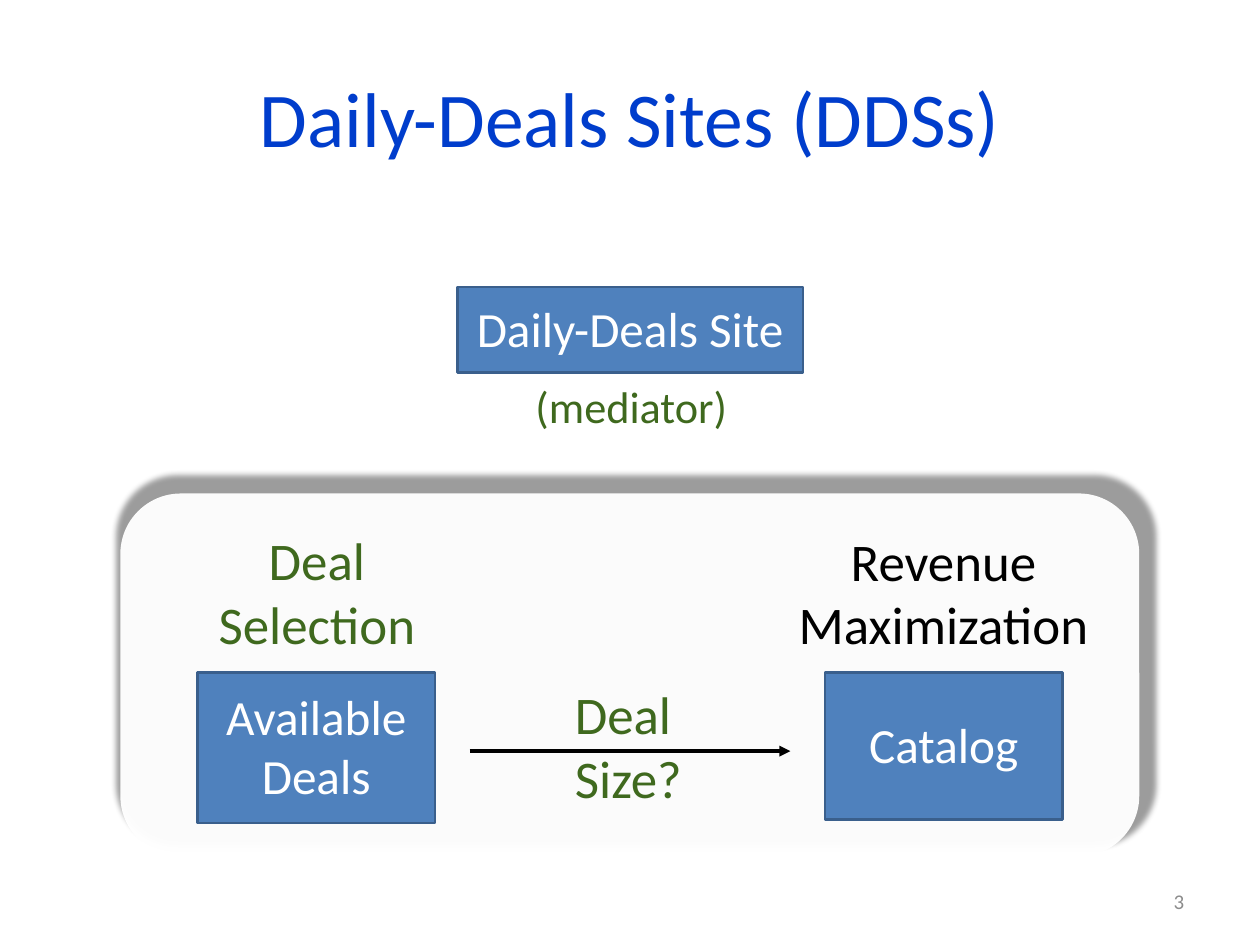
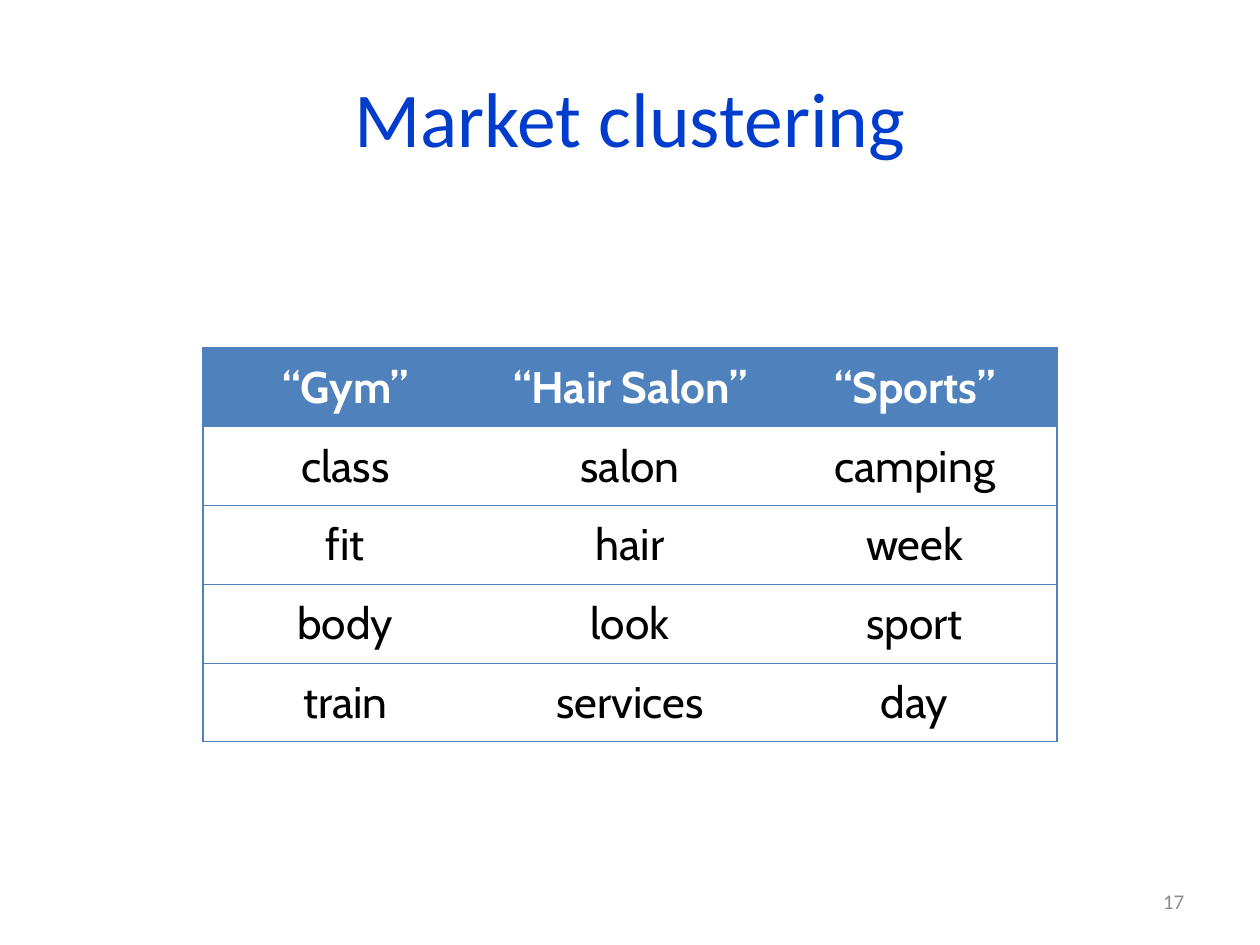
from dataclasses import dataclass
from typing import Optional

from lxml import etree
from pptx import Presentation
from pptx.dml.color import RGBColor
from pptx.enum.shapes import MSO_CONNECTOR, MSO_SHAPE
from pptx.enum.text import MSO_ANCHOR, MSO_AUTO_SIZE, PP_ALIGN
from pptx.oxml.ns import qn
from pptx.presentation import Presentation as Deck
from pptx.slide import Slide
from pptx.table import _Cell as Cell
from pptx.text.text import TextFrame
from pptx.util import Cm, Pt

RECTANGLE = MSO_SHAPE.RECTANGLE
ROUNDED = MSO_SHAPE.ROUNDED_RECTANGLE
STRAIGHT = MSO_CONNECTOR.STRAIGHT
MIDDLE = MSO_ANCHOR.MIDDLE
GROW, FIXED = MSO_AUTO_SIZE.SHAPE_TO_FIT_TEXT, MSO_AUTO_SIZE.NONE
LEFT, CENTER, RIGHT = PP_ALIGN.LEFT, PP_ALIGN.CENTER, PP_ALIGN.RIGHT

TITLE_BLUE = RGBColor(0x00, 0x3D, 0xCC)
FILL_BLUE = RGBColor(0x4F, 0x81, 0xBD)
EDGE_BLUE = RGBColor(0x3A, 0x5F, 0x8C)
GREEN = RGBColor(0x3F, 0x69, 0x1E)
GRAY = RGBColor(0x8C, 0x8C, 0x8C)
BLACK = RGBColor(0x00, 0x00, 0x00)
WHITE = RGBColor(0xFF, 0xFF, 0xFF)

TITLE_ONLY = 5
FRAME_MARGINS = (0.36, 0.18, 0.36, 0.18)
BOX_MARGINS = (0, 0, 0, 0.13)
NO_MARGINS = (0, 0, 0, 0)
CELL_MARGIN = Cm(0.15)

BOX_TOP, BOX_WIDTH = 19.28, 6.81
TABLE_LEFT, TABLE_TOP = 5.82, 9.98
COLUMN_WIDTH, ROW_HEIGHT = 8.16, 2.26
MARKET_WORDS = [
    ("“Gym”", "“Hair Salon”", "“Sports”"),
    ("class", "salon", "camping"),
    ("fit", "hair", "week"),
    ("body", "look", "sport"),
    ("train", "services", "day"),
]


@dataclass(frozen=True)
class Area:
    left: float
    top: float
    width: float
    height: float

    def lengths(self) -> tuple[Cm, Cm, Cm, Cm]:
        return Cm(self.left), Cm(self.top), Cm(self.width), Cm(self.height)


@dataclass(frozen=True)
class Style:
    size: float
    color: RGBColor
    align: PP_ALIGN = CENTER
    font: str = "Calibri"
    bold: bool = False


@dataclass(frozen=True)
class Block:
    area: Area
    lines: tuple[str, ...]
    style: Style
    margins: tuple[float, float, float, float] = NO_MARGINS


TITLE_STYLE = Style(63, TITLE_BLUE)
NUMBER_STYLE = Style(17, GRAY, RIGHT)
BOX_STYLE = Style(40, WHITE)
HEADER_STYLE = Style(36, WHITE, font="Cabin", bold=True)
WORD_STYLE = Style(36, BLACK, font="Cabin")

TITLE_AREA = Area(1.8, 1.09, 32.51, 4.52)
NUMBER_AREA = Area(25.88, 25.12, 8.43, 1.45)
PANEL_AREA = Area(12.85, 4.75, 10.41, 29.21)

SITE_BOX = Block(Area(13.11, 8.23, 9.91, 2.46), ("Daily-Deals Site",), BOX_STYLE, BOX_MARGINS)
DEALS_BOX = Block(Area(5.66, BOX_TOP, BOX_WIDTH, 4.32), ("Available", "Deals"), BOX_STYLE, BOX_MARGINS)
CATALOG_BOX = Block(Area(23.65, BOX_TOP, BOX_WIDTH, 4.22), ("Catalog",), BOX_STYLE, BOX_MARGINS)

MEDIATOR_LABEL = Block(Area(15.32, 10.85, 5.56, 1.55), ("(mediator)",), Style(36, GREEN))
SIZE_LABEL = Block(Area(16.48, 19.53, 3.12, 3.81), ("Deal", "Size?"), Style(43, GREEN, LEFT), BOX_MARGINS)
SELECTION_LABEL = Block(Area(6.2, 15.09, 5.77, 3.73), ("Deal", "Selection"), Style(43, GREEN))
REVENUE_LABEL = Block(Area(22.83, 15.14, 8.43, 3.68), ("Revenue", "Maximization"), Style(43, BLACK))


def write_lines(frame: TextFrame, lines: tuple[str, ...], style: Style) -> None:
    for index, line in enumerate(lines):
        para = frame.add_paragraph() if index else frame.paragraphs[0]
        para.alignment = style.align
        span = para.add_run()
        span.text = line
        span.font.name = style.font
        span.font.size = Pt(style.size)
        span.font.bold = style.bold
        span.font.color.rgb = style.color


def fill_frame(frame: TextFrame, block: Block, wrap: bool = True) -> None:
    frame.margin_left, frame.margin_top, frame.margin_right, frame.margin_bottom = map(Cm, block.margins)
    frame.vertical_anchor = MIDDLE
    frame.word_wrap = wrap
    frame.auto_size = FIXED if wrap else GROW
    write_lines(frame, block.lines, block.style)


def add_page(deck: Deck, title: str, number: int) -> Slide:
    page = deck.slides.add_slide(deck.slide_layouts[TITLE_ONLY])
    heading = page.shapes.title
    heading.left, heading.top, heading.width, heading.height = TITLE_AREA.lengths()
    fill_frame(heading.text_frame, Block(TITLE_AREA, (title,), TITLE_STYLE, FRAME_MARGINS))
    add_label(page, Block(NUMBER_AREA, (str(number),), NUMBER_STYLE, FRAME_MARGINS), wrap=True)
    return page


def add_label(page: Slide, block: Block, wrap: bool = False) -> None:
    label = page.shapes.add_textbox(*block.area.lengths())
    fill_frame(label.text_frame, block, wrap)


def add_box(page: Slide, block: Block) -> None:
    box = page.shapes.add_shape(RECTANGLE, *block.area.lengths())
    box.shadow.inherit = False
    box.fill.solid()
    box.fill.fore_color.rgb = FILL_BLUE
    box.line.color.rgb = EDGE_BLUE
    box.line.width = Pt(2)
    fill_frame(box.text_frame, block)


def add_panel(page: Slide) -> None:
    panel = page.shapes.add_shape(ROUNDED, *PANEL_AREA.lengths())
    panel.rotation = 270
    panel.fill.solid()
    panel.fill.fore_color.rgb = WHITE
    panel.line.fill.background()
    panel.shadow.inherit = False
    properties = panel.element.spPr
    fill_color = properties.find(qn("a:solidFill")).find(qn("a:srgbClr"))
    etree.SubElement(fill_color, qn("a:alpha"), val="97000")
    shadow = etree.SubElement(
        properties.find(qn("a:effectLst")), qn("a:outerShdw"),
        blurRad=str(Pt(5)), sx="102000", sy="102000", algn="ctr", rotWithShape="0",
    )
    shadow_color = etree.SubElement(shadow, qn("a:srgbClr"), val=str(BLACK))
    etree.SubElement(shadow_color, qn("a:alpha"), val="40000")


def add_arrow(page: Slide, start: float, end: float, level: float) -> None:
    arrow = page.shapes.add_connector(STRAIGHT, Cm(start), Cm(level), Cm(end), Cm(level))
    arrow.line.color.rgb = BLACK
    arrow.line.width = Pt(3)
    etree.SubElement(arrow.line._get_or_add_ln(), qn("a:tailEnd"), type="triangle")
    etree.SubElement(arrow.element.spPr, qn("a:effectLst"))


def set_borders(cell: Cell, color_by_side: dict[str, Optional[RGBColor]]) -> None:
    properties = cell._tc.get_or_add_tcPr()
    for side, color in color_by_side.items():
        border = etree.SubElement(properties, qn(f"a:ln{side}"), w=str(Pt(1)))
        if color is None:
            etree.SubElement(border, qn("a:noFill"))
        else:
            fill = etree.SubElement(border, qn("a:solidFill"))
            etree.SubElement(fill, qn("a:srgbClr"), val=str(color))


def add_market_table(page: Slide) -> None:
    row_count, column_count = len(MARKET_WORDS), len(MARKET_WORDS[0])
    area = Area(TABLE_LEFT, TABLE_TOP, COLUMN_WIDTH * column_count, ROW_HEIGHT * row_count)
    table = page.shapes.add_table(row_count, column_count, *area.lengths()).table
    table.horz_banding = False
    for row_index, words in enumerate(MARKET_WORDS):
        table.rows[row_index].height = Cm(ROW_HEIGHT)
        is_header = row_index == 0
        for column_index, word in enumerate(words):
            table.columns[column_index].width = Cm(COLUMN_WIDTH)
            cell = table.cell(row_index, column_index)
            set_borders(cell, {
                "L": FILL_BLUE if column_index == 0 else None,
                "R": FILL_BLUE if column_index == column_count - 1 else None,
                "T": FILL_BLUE,
                "B": FILL_BLUE,
            })
            cell.fill.solid()
            cell.fill.fore_color.rgb = FILL_BLUE if is_header else WHITE
            cell.vertical_anchor = MIDDLE
            cell.margin_left = cell.margin_right = CELL_MARGIN
            cell.margin_top = cell.margin_bottom = CELL_MARGIN
            write_lines(cell.text_frame, (word,), HEADER_STYLE if is_header else WORD_STYLE)


def build_sites_page(deck: Deck) -> None:
    page = add_page(deck, "Daily-Deals Sites (DDSs)", 3)
    add_box(page, SITE_BOX)
    add_label(page, MEDIATOR_LABEL)
    add_panel(page)
    add_arrow(page, 13.46, 22.66, 21.54)
    for label in (SIZE_LABEL, SELECTION_LABEL, REVENUE_LABEL):
        add_label(page, label)
    for box in (DEALS_BOX, CATALOG_BOX):
        add_box(page, box)


def build_clustering_page(deck: Deck) -> None:
    page = add_page(deck, "Market clustering", 17)
    add_market_table(page)


def main() -> None:
    deck = Presentation()
    deck.slide_width, deck.slide_height = Cm(36.12), Cm(27.1)
    build_sites_page(deck)
    build_clustering_page(deck)
    deck.save("out.pptx")


if __name__ == "__main__":
    main()
